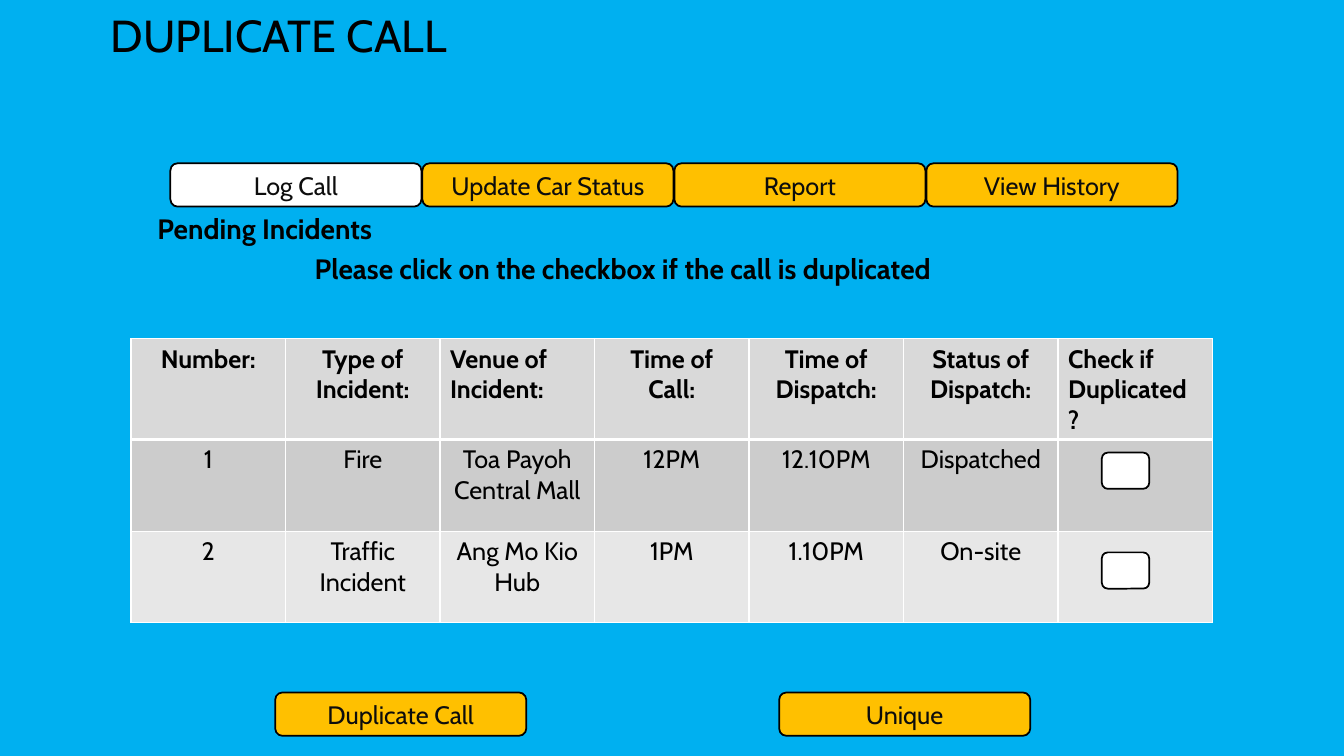
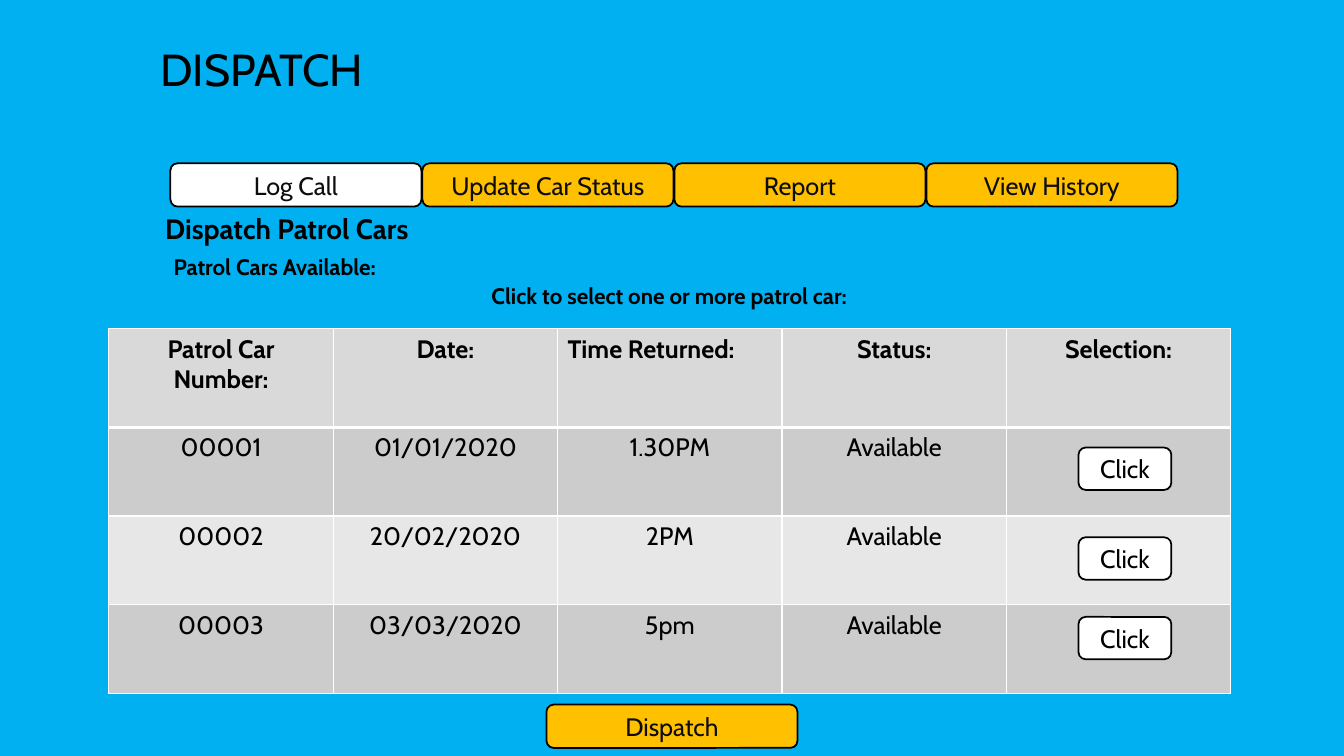
"""Builds two screens of a call dispatch mock-up."""
from lxml.etree import SubElement
from pptx import Presentation
from pptx.dml.color import RGBColor
from pptx.enum.shapes import MSO_SHAPE as Shape
from pptx.enum.text import MSO_ANCHOR as Anchor, PP_ALIGN as Align
from pptx.oxml.ns import qn
from pptx.util import Inches, Pt

COLOURS = {
    "background": "00B0F0",
    "text": "000000",
    "button_text": "0D0D0D",
    "line": "000000",
    "button": "FFC000",
    "active": "FFFFFF",
    "border": "FFFFFF",
    "header": "D9D9D9",
    "odd_row": "CCCCCC",
    "even_row": "E7E7E7",
}
FONT = "Cabin"
WIDTH, HEIGHT = Inches(13.333), Inches(7.5)
TABS = ["Log Call", "Update Car Status", "Report", "View History"]
TAB_LEFT, TAB_TOP, TAB_PITCH = 12.68, 21.6, 18.75
BUTTON_SIZE = (18.68, 5.73)
LABEL_HEIGHT = {20: 5.87, 16: 4.93}
LEFT_HEADERS = {"Venue of Incident:", "Check if Duplicated ?", "Time Returned:"}

INCIDENTS = [
    ["Number:", "Type of Incident:", "Venue of Incident:", "Time of Call:",
     "Time of Dispatch:", "Status of Dispatch:", "Check if Duplicated ?"],
    ["1", "Fire", "Toa Payoh Central Mall", "12PM", "12.10PM", "Dispatched", ""],
    ["2", "Traffic Incident", "Ang Mo Kio Hub", "1PM", "1.10PM", "On-site", ""],
]
PATROL_CARS = [
    ["Patrol Car Number:", "Date:", "Time Returned:", "Status:", "Selection:"],
    ["00001", "01/01/2020", "1.30PM", "Available", ""],
    ["00002", "20/02/2020", "2PM", "Available", ""],
    ["00003", "03/03/2020", "5pm", "Available", ""],
]


def colour(name):
    """Return a named colour."""
    return RGBColor.from_string(COLOURS[name])


def across(percent):
    """Return a share of the slide's width."""
    return round(WIDTH * percent / 100)


def down(percent):
    """Return a share of the slide's height."""
    return round(HEIGHT * percent / 100)


def place(left, top, width, height):
    """Turn shares of the slide into a position and a size."""
    return across(left), down(top), across(width), down(height)


def write(frame, text, size=18, bold=False, align=Align.CENTER, ink="text"):
    """Put one formatted paragraph in a text frame."""
    frame.text = text
    para = frame.paragraphs[0]
    para.alignment = align
    for span in para.runs:
        span.font.name = FONT
        span.font.size = Pt(size)
        span.font.bold = bold
        span.font.color.rgb = colour(ink)
    return para


def add_title(page, text, *area):
    """Add the title of a screen."""
    box = page.shapes.add_textbox(*place(*area))
    box.text_frame.word_wrap = True
    write(box.text_frame, text, 32, align=Align.LEFT).line_spacing = 0.9


def add_label(page, text, left, top, width=28.13, size=20):
    """Add a bold centred label."""
    box = page.shapes.add_textbox(*place(left, top, width, LABEL_HEIGHT[size]))
    box.text_frame.word_wrap = True
    write(box.text_frame, text, size, bold=True)


def add_button(page, text, left, top, size=BUTTON_SIZE, fill="button", ink="button_text"):
    """Add a rounded button with an outline."""
    button = page.shapes.add_shape(Shape.ROUNDED_RECTANGLE, *place(left, top, *size))
    button.shadow.inherit = False
    button.fill.solid()
    button.fill.fore_color.rgb = colour(fill)
    button.line.color.rgb = colour("line")
    button.line.width = Pt(1.25)
    button.text_frame.vertical_anchor = Anchor.MIDDLE
    if text:
        write(button.text_frame, text, ink=ink)


def add_tabs(page):
    """Add the row of tabs, with the first one active."""
    for index, name in enumerate(TABS):
        fill = "button" if index else "active"
        add_button(page, name, TAB_LEFT + index * TAB_PITCH, TAB_TOP, fill=fill)


def set_borders(cell, row_index):
    """Draw white cell borders, thick below the header row."""
    widths = {
        "a:lnL": 1,
        "a:lnR": 1,
        "a:lnT": 3 if row_index == 1 else 1,
        "a:lnB": 3 if row_index == 0 else 1,
    }
    properties = cell._tc.get_or_add_tcPr()
    for tag, width in widths.items():
        line = SubElement(properties, qn(tag), w=str(Pt(width)))
        fill = SubElement(line, qn("a:solidFill"))
        SubElement(fill, qn("a:srgbClr"), val=COLOURS["border"])


def style_cell(cell, text, row_index):
    """Fill, outline and write one table cell."""
    header = row_index == 0
    set_borders(cell, row_index)
    band = "header" if header else "odd_row" if row_index % 2 else "even_row"
    cell.fill.solid()
    cell.fill.fore_color.rgb = colour(band)
    if text:
        align = Align.LEFT if text in LEFT_HEADERS else Align.CENTER
        write(cell.text_frame, text, bold=header, align=align)


def add_grid(page, rows, left, top, width, row_heights):
    """Add a table with equal columns."""
    area = place(left, top, width, sum(row_heights))
    table = page.shapes.add_table(len(rows), len(rows[0]), *area).table
    for column in table.columns:
        column.width = across(width / len(rows[0]))
    for row_index, (values, height) in enumerate(zip(rows, row_heights)):
        table.rows[row_index].height = down(height)
        for column_index, text in enumerate(values):
            style_cell(table.cell(row_index, column_index), text, row_index)


def add_page(deck):
    """Add an empty slide on the blank layout."""
    return deck.slides.add_slide(deck.slide_layouts[6])


def build_duplicate_call(page):
    """Build the screen that marks duplicate calls."""
    add_title(page, "DUPLICATE CALL", 7.5, 1.2, 85, 23.33)
    add_label(page, "Pending Incidents", 5.63, 27.33)
    add_label(page, "Please click on the checkbox if the call is duplicated",
              4.73, 32.67, width=83.25)
    add_grid(page, INCIDENTS, 9.75, 44.8, 80.48, [12.13] * 3)
    for top in (59.87, 73.07):
        add_button(page, "", 81.98, top, size=(3.53, 4.8), fill="active")
    for index, name in enumerate(["Duplicate Call", "Unique"]):
        add_button(page, name, 20.48 + index * 2 * TAB_PITCH, 91.6)
    add_tabs(page)


def build_dispatch(page):
    """Build the screen that dispatches patrol cars."""
    add_title(page, "DISPATCH", 11.18, 5.73, 78.75, 15.33)
    add_label(page, "Dispatch Patrol Cars", 7.28, 27.33)
    add_label(page, "Patrol Cars Available:", 6.38, 32.8, size=16)
    add_label(page, "Click to select one or more patrol car:",
              31.58, 36.67, width=36.45, size=16)
    add_grid(page, PATROL_CARS, 8.1, 43.47, 83.48, [13.07] + [11.73] * 3)
    for top in (59.2, 71.07, 81.6):
        add_button(page, "Click", 80.25, top, size=(6.9, 5.6), fill="active", ink="text")
    add_button(page, "Dispatch", (100 - BUTTON_SIZE[0]) / 2, 93.2)
    add_tabs(page)


def main():
    """Build and save the deck."""
    deck = Presentation()
    deck.slide_width, deck.slide_height = WIDTH, HEIGHT
    backdrop = deck.slide_master.background.fill
    backdrop.solid()
    backdrop.fore_color.rgb = colour("background")
    build_duplicate_call(add_page(deck))
    build_dispatch(add_page(deck))
    deck.save("out.pptx")


main()
